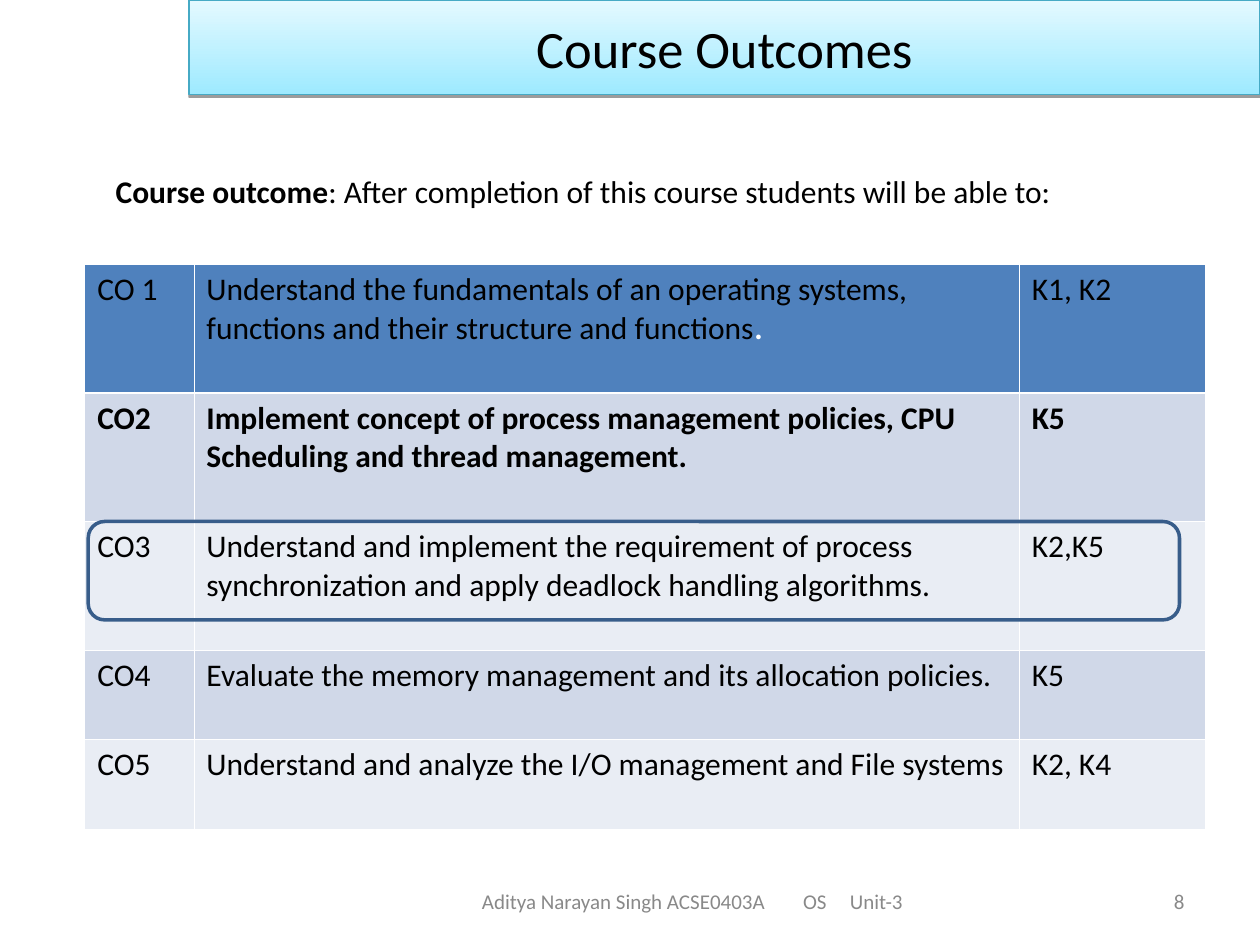
from dataclasses import dataclass
from lxml import etree
from pptx import Presentation
from pptx.dml.color import RGBColor
from pptx.enum.shapes import MSO_SHAPE
from pptx.enum.text import MSO_ANCHOR, PP_ALIGN
from pptx.oxml.ns import qn
from pptx.util import Pt

RECT, ROUND = MSO_SHAPE.RECTANGLE, MSO_SHAPE.ROUNDED_RECTANGLE
LEFT, MID, RIGHT = PP_ALIGN.LEFT, PP_ALIGN.CENTER, PP_ALIGN.RIGHT
TOP, CENTER = MSO_ANCHOR.TOP, MSO_ANCHOR.MIDDLE


@dataclass(frozen=True)
class Theme:
    font: str = "Calibri"
    title: float = 30
    body: float = 18
    small: float = 12
    ink: str = "000000"
    white: str = "FFFFFF"
    gray: str = "898989"
    head: str = "4F81BD"
    bands: tuple = ("E9EDF4", "D0D8E8")
    fade: tuple = ("9EEAFF", "E4F9FF")
    edge: str = "46AAC5"
    frame: str = "385D8A"
    thin: float = 0.45
    thick: float = 1.47


def rgb(code):
    return RGBColor.from_string(code)


def node(parent, tag, **attrs):
    return etree.SubElement(parent, qn(tag), attrs)


def write(para, text, font, size, color, bold=False):
    run = para.add_run()
    run.text = text
    run.font.name = font
    run.font.size = Pt(size)
    run.font.color.rgb = rgb(color)
    run.font.bold = bold


class Page:
    def __init__(self, slide, theme):
        self.slide = slide
        self.theme = theme

    def fill(self, frame, runs, align=LEFT, size=None, color=None, tabs=()):
        para = frame.paragraphs[0]
        para.alignment = align
        if tabs:
            stops = node(para._p.get_or_add_pPr(), "a:tabLst")
            for stop in tabs:
                node(stops, "a:tab", pos=str(Pt(stop)), algn="l")
        for text, style in runs:
            base = dict(font=self.theme.font, size=size or self.theme.body,
                        color=color or self.theme.ink)
            write(para, text, **(base | style))

    def text(self, area, runs, anchor=CENTER, inset=7.2, **style):
        frame = self.slide.shapes.add_textbox(*map(Pt, area)).text_frame
        frame.word_wrap = True
        frame.vertical_anchor = anchor
        frame.margin_left = Pt(inset)
        self.fill(frame, runs, **style)

    def shape(self, kind, area, color, width):
        shape = self.slide.shapes.add_shape(kind, *map(Pt, area))
        shape.shadow.inherit = False
        shape.fill.background()
        shape.line.color.rgb = rgb(color)
        shape.line.width = Pt(width)
        return shape

    def banner(self, area, title):
        theme = self.theme
        shape = self.shape(RECT, area, theme.edge, 0.75)
        shape.fill.gradient()
        shape.fill.gradient_angle = 90
        for stop, color, place in zip(shape.fill.gradient_stops, theme.fade, (0, 1)):
            stop.color.rgb = rgb(color)
            stop.position = place
        effects = shape._element.spPr.find(qn("a:effectLst"))
        shade = node(effects, "a:outerShdw", blurRad="0", dist=str(Pt(1.6)),
                     dir="5400000", rotWithShape="0")
        tint = node(shade, "a:srgbClr", val=theme.ink)
        node(tint, "a:alpha", val="38000")
        shape.text_frame.vertical_anchor = CENTER
        self.fill(shape.text_frame, [(title, {})], align=MID, size=theme.title)

    def border(self, cell, row):
        theme = self.theme
        props = cell._tc.get_or_add_tcPr()
        for side in "LRTB":
            heavy = (row, side) in ((0, "B"), (1, "T"))
            line = node(props, f"a:ln{side}",
                        w=str(Pt(theme.thick if heavy else theme.thin)))
            node(node(line, "a:solidFill"), "a:srgbClr", val=theme.white)

    def table(self, left, top, cols, rows, data):
        theme = self.theme
        area = (left, top, sum(cols), sum(rows))
        grid = self.slide.shapes.add_table(len(rows), len(cols), *map(Pt, area)).table
        for col, width in zip(grid.columns, cols):
            col.width = Pt(width)
        for i, (row, height, line) in enumerate(zip(grid.rows, rows, data)):
            row.height = Pt(height)
            for cell, runs in zip(row.cells, line):
                self.border(cell, i)
                cell.fill.solid()
                cell.fill.fore_color.rgb = rgb(theme.bands[i % 2] if i else theme.head)
                self.fill(cell.text_frame, runs)


def main():
    deck = Presentation()
    deck.slide_width, deck.slide_height = Pt(720), Pt(540)
    theme = Theme()
    page = Page(deck.slides.add_slide(deck.slide_layouts[6]), theme)
    bold = {"bold": True}
    foot = dict(size=theme.small, color=theme.gray)

    page.text((198, 500.4, 396, 28.8),
              [("Aditya Narayan Singh ACSE0403A\tOS\tUnit-3", {})],
              inset=77.4, tabs=(183.5, 210.3), **foot)
    page.text((516.2, 500.4, 167.8, 28.8), [("8", {})], align=RIGHT, **foot)
    page.banner((108, 0, 612, 54), "Course Outcomes")

    goals = [
        ("CO 1", "Understand the fundamentals of an operating systems, "
                 "functions and their structure and functions", "K1, K2"),
        ("CO2", "Implement concept of process management policies, "
                "CPU Scheduling and thread management.", "K5"),
        ("CO3", "Understand and implement the requirement of process "
                "synchronization and apply deadlock handling algorithms.", "K2,K5"),
        ("CO4", "Evaluate the memory management and its allocation policies.", "K5"),
        ("CO5", "Understand and analyze the I/O management and File systems", "K2, K4"),
    ]
    data = [[[(text, bold if i == 1 else {})] for text in goal]
            for i, goal in enumerate(goals)]
    data[0][1].append((".", {"color": theme.white, "bold": True}))
    page.table(48.4, 151.2, (62.4, 471.6, 106.6), [73.4] * 3 + [51.2] * 2, data)

    page.text((59, 95, 630, 28.8),
              [("Course outcome", bold),
               (": After completion of this course students will be able to:", {})],
              anchor=TOP)
    page.shape(ROUND, (50.4, 298, 623.6, 56.2), theme.frame, 2)
    deck.save("out.pptx")


if __name__ == "__main__":
    main()
